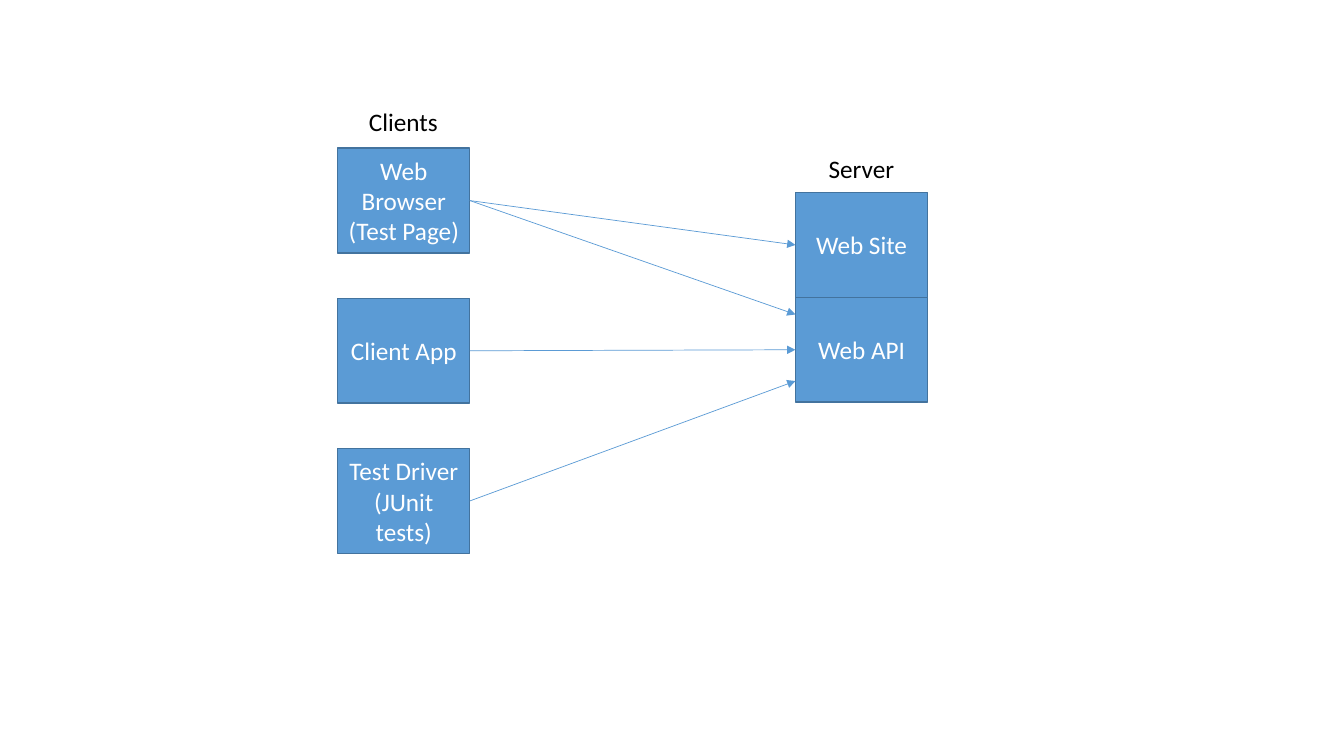
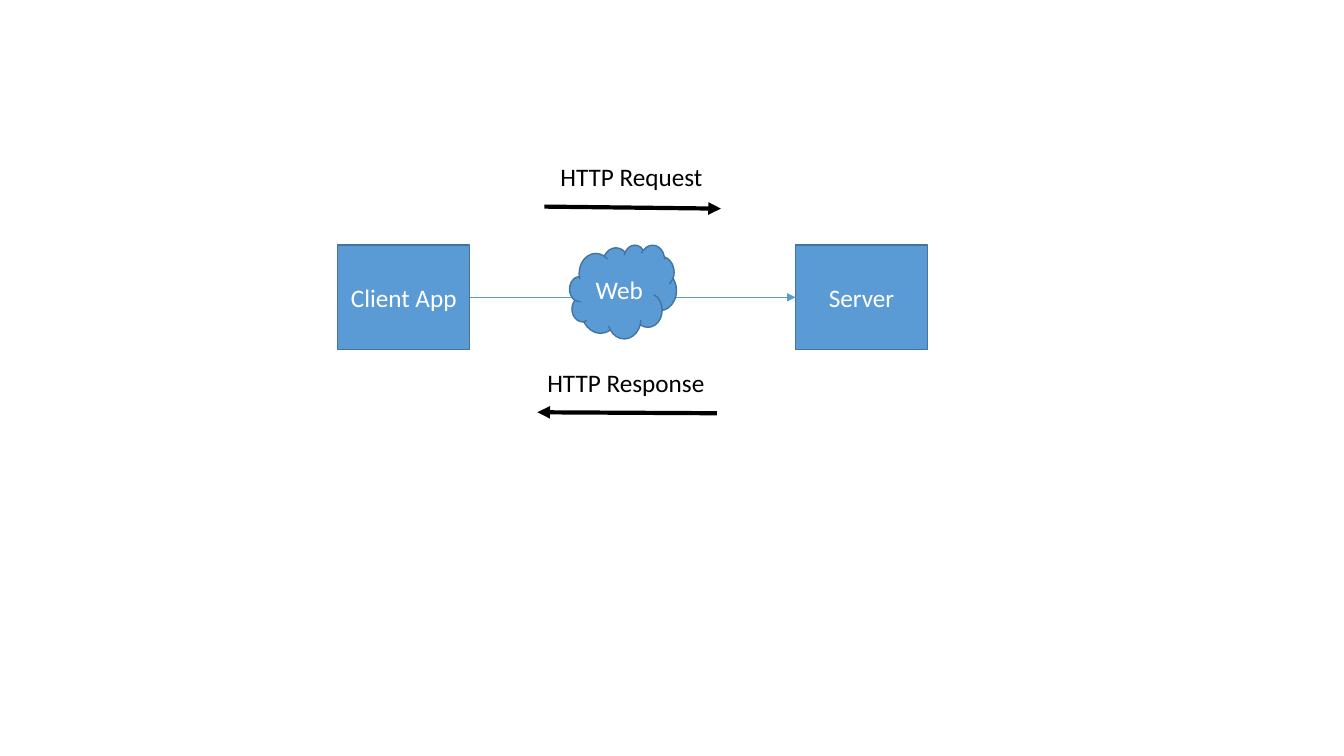
from pptx import Presentation
from pptx.dml.color import RGBColor
from pptx.enum import shapes, text
from pptx.oxml import ns
from pptx.util import Inches, Pt
from lxml import etree

BLUE = RGBColor(0x5B, 0x9B, 0xD5)
EDGE = RGBColor(0x43, 0x73, 0x9E)
WHITE = RGBColor(0xFF, 0xFF, 0xFF)
BLACK = RGBColor(0, 0, 0)

KIND = shapes.MSO_SHAPE
BOX_W, BOX_H = 1.31, 1.04
LEFT, RIGHT = 3.35, 7.89  # client and server columns
EXIT = LEFT + BOX_W  # right edge of the client boxes


class Deck:
    """Holds the shared style and the current slide."""
    font, size = "Calibri", Pt(18)

    def __init__(self):
        self.prs = Presentation()
        self.prs.slide_width = Inches(13.33)
        self.prs.slide_height = Inches(7.5)
        self.slide = None

    def page(self):
        self.slide = self.prs.slides.add_slide(self.prs.slide_layouts[6])

    def fill_text(self, frame, lines, color, align):
        frame.text = lines
        for para in frame.paragraphs:
            para.alignment = align
            para.font.name = self.font
            para.font.size = self.size
            para.font.color.rgb = color

    def box(self, x, y, lines, w=BOX_W, h=BOX_H, kind=KIND.RECTANGLE):
        shape = self.slide.shapes.add_shape(
            kind, Inches(x), Inches(y), Inches(w), Inches(h))
        shape.shadow.inherit = False
        shape.fill.solid()
        shape.fill.fore_color.rgb = BLUE
        shape.line.color.rgb = EDGE
        shape.line.width = Pt(1)
        shape.text_frame.vertical_anchor = text.MSO_ANCHOR.MIDDLE
        self.fill_text(shape.text_frame, lines, WHITE, text.PP_ALIGN.CENTER)

    def label(self, x, y, w, words):
        frame = self.slide.shapes.add_textbox(
            Inches(x), Inches(y), Inches(w), Inches(0.4)).text_frame
        frame.word_wrap = False
        frame.auto_size = text.MSO_AUTO_SIZE.SHAPE_TO_FIT_TEXT
        self.fill_text(frame, words, BLACK, text.PP_ALIGN.LEFT)

    def arrow(self, x1, y1, x2, y2, color=BLUE, width=0.5):
        link = self.slide.shapes.add_connector(
            shapes.MSO_CONNECTOR.STRAIGHT,
            Inches(x1), Inches(y1), Inches(x2), Inches(y2))
        link.line.color.rgb = color
        link.line.width = Pt(width)
        props = link.element.spPr
        tail = etree.SubElement(props.find(ns.qn("a:ln")), ns.qn("a:tailEnd"))
        tail.set("type", "triangle")
        etree.SubElement(props, ns.qn("a:effectLst"))


deck = Deck()

# Slide 1: clients and server
deck.page()
clients = ["Web Browser\n(Test Page)", "Client App", "Test Driver\n(JUnit tests)"]
for row, name in enumerate(clients):
    deck.box(LEFT, 1.47 + 1.49 * row, name)
for row, name in enumerate(["Web Site", "Web API"]):
    deck.box(RIGHT, 1.91 + BOX_H * row, name)

# Calls from each client
for start, end in [(1.99, 2.43), (1.99, 3.12), (3.48, 3.47), (4.97, 3.78)]:
    deck.arrow(EXIT, start, RIGHT, end)

# Column headings
deck.label(3.56, 1.01, 0.89, "Clients")
deck.label(8.12, 1.47, 0.86, "Server")

# Slide 2: request and response
deck.page()
for x, name in [(LEFT, "Client App"), (RIGHT, "Server")]:
    deck.box(x, 2.43, name)
deck.arrow(EXIT, 2.95, RIGHT, 2.95)
deck.box(5.65, 2.43, "Web", 1.06, 0.93, KIND.CLOUD)

# Message directions
deck.label(5.46, 1.55, 1.63, "HTTP Request")
deck.arrow(5.4, 2.05, 7.15, 2.07, BLACK, 3)
deck.label(5.33, 3.59, 1.78, "HTTP Response")
deck.arrow(7.11, 4.1, 5.33, 4.09, BLACK, 3)

deck.prs.save("out.pptx")
